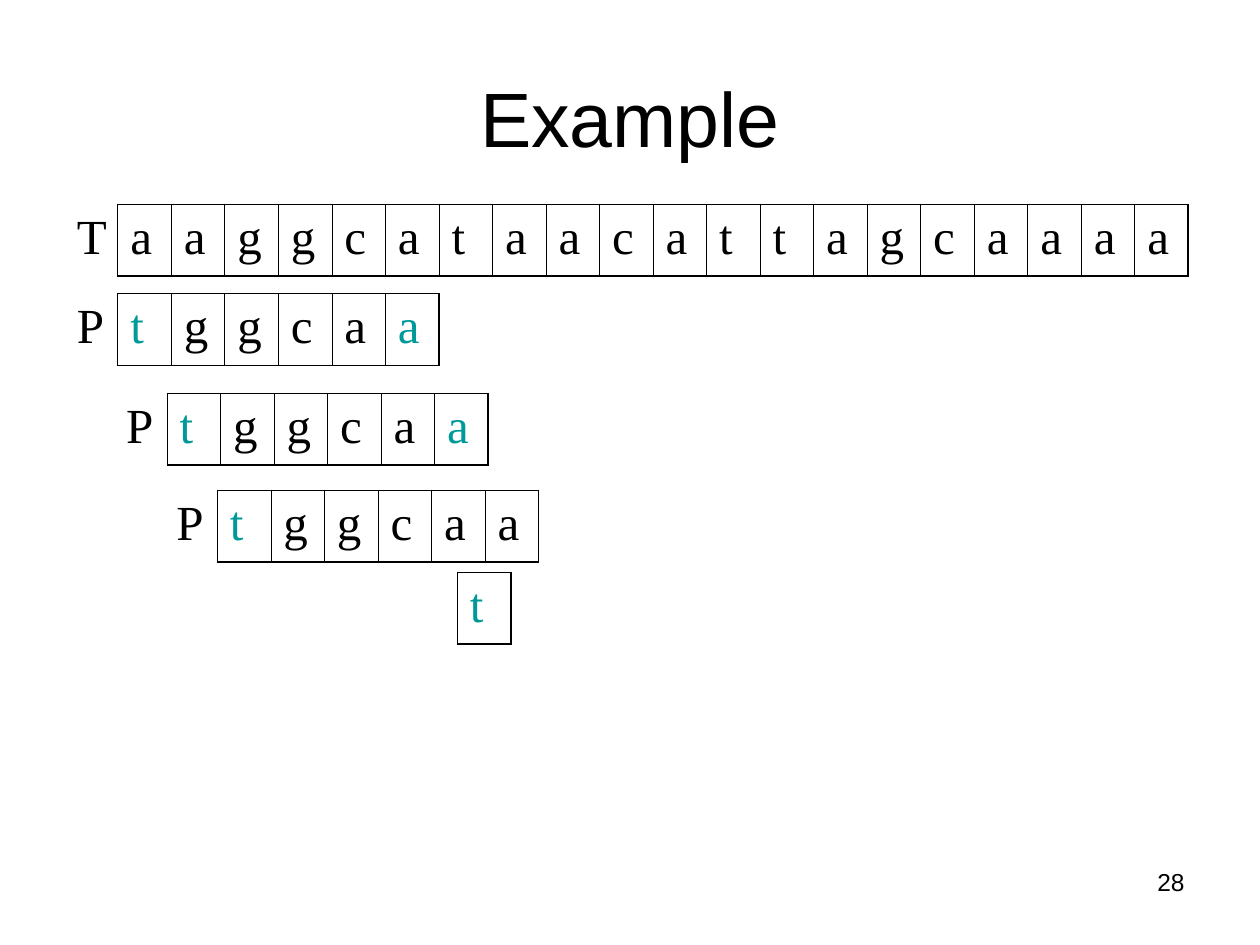
from lxml.etree import SubElement
from pptx import Presentation
from pptx.dml.color import RGBColor
from pptx.enum.text import MSO_ANCHOR, PP_ALIGN
from pptx.oxml.ns import qn
from pptx.util import Inches, Pt

BLACK = "000000"
TEAL = "009999"
CELL_WIDTH = 0.425
CELL_HEIGHT = 0.57
THIN = 0.45
THICK = 1.08
TEXT = "aaggcataacattagcaaaa".replace("aacatta", "aacatta")
PATTERN = "tggcaa"


def color(value):
    return RGBColor.from_string(value)


def style_font(para, name, size, value):
    para.font.name = name
    para.font.size = Pt(size)
    para.font.bold = False
    para.font.color.rgb = color(value)


def add_text(page, text, place, size, align, anchor):
    box = page.shapes.add_textbox(*[Inches(length) for length in place])
    frame = box.text_frame
    frame.word_wrap = True
    frame.vertical_anchor = anchor
    para = frame.paragraphs[0]
    para.text = text
    para.alignment = align
    style_font(para, "Arial", size, BLACK)


def set_borders(cell, widths):
    properties = cell._tc.get_or_add_tcPr()
    for side, width in zip("LRTB", widths):
        line = SubElement(properties, qn(f"a:ln{side}"), w=str(Pt(width)))
        if width:
            fill = SubElement(line, qn("a:solidFill"))
            SubElement(fill, qn("a:srgbClr"), val=BLACK)
        else:
            SubElement(line, qn("a:noFill"))


def add_strip(page, left, top, letters, label="", marked=()):
    entries = label + letters
    count = len(entries)
    table = page.shapes.add_table(
        1, count, Inches(left), Inches(top),
        Inches(count * CELL_WIDTH), Inches(CELL_HEIGHT)).table
    table.first_row = False
    table.horz_banding = False
    for index, letter in enumerate(entries):
        table.columns[index].width = Inches(CELL_WIDTH)
        cell = table.cell(0, index)
        if index < len(label):
            widths = (0, THIN, 0, 0)
        else:
            widths = (THIN, THICK if index == count - 1 else THIN, THIN, THICK)
        set_borders(cell, widths)
        cell.fill.background()
        para = cell.text_frame.paragraphs[0]
        para.text = letter
        is_marked = index - len(label) in marked
        style_font(para, "Times New Roman", 28, TEAL if is_marked else BLACK)


def main():
    deck = Presentation()
    deck.slide_width, deck.slide_height = Inches(10), Inches(7.5)
    page = deck.slides.add_slide(deck.slide_layouts[6])
    add_text(page, "Example", (0.5, 0.3, 9, 1.25), 44,
             PP_ALIGN.CENTER, MSO_ANCHOR.MIDDLE)
    add_strip(page, 0.51, 1.62, TEXT, "T")
    shifts = [(0.51, 2.33, (0, 5)), (0.9, 3.12, (0, 5)), (1.3, 3.89, (0,))]
    for left, top, marked in shifts:
        add_strip(page, left, top, PATTERN, "P", marked)
    add_strip(page, 3.63, 4.54, PATTERN[0], marked=(0,))
    add_text(page, "28", (7.17, 6.83, 2.33, 0.52), 14,
             PP_ALIGN.RIGHT, MSO_ANCHOR.TOP)
    deck.save("out.pptx")


if __name__ == "__main__":
    main()
